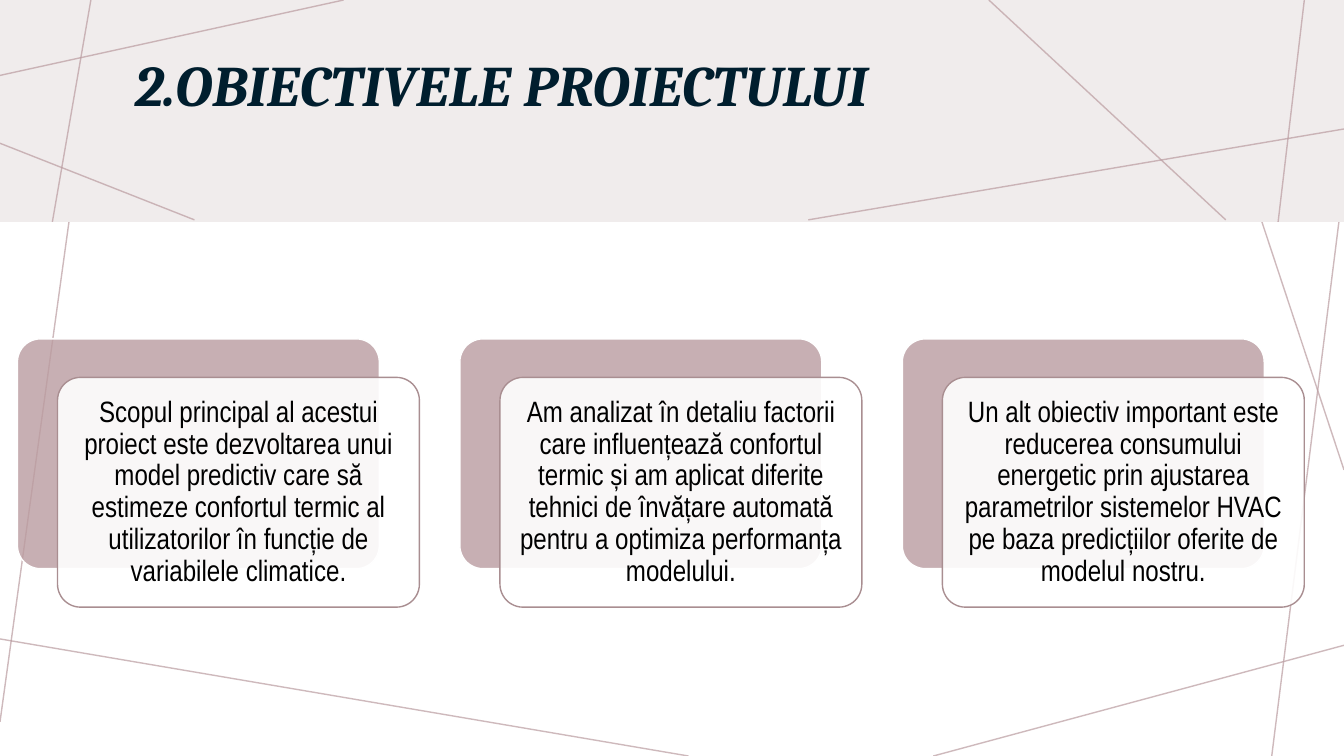
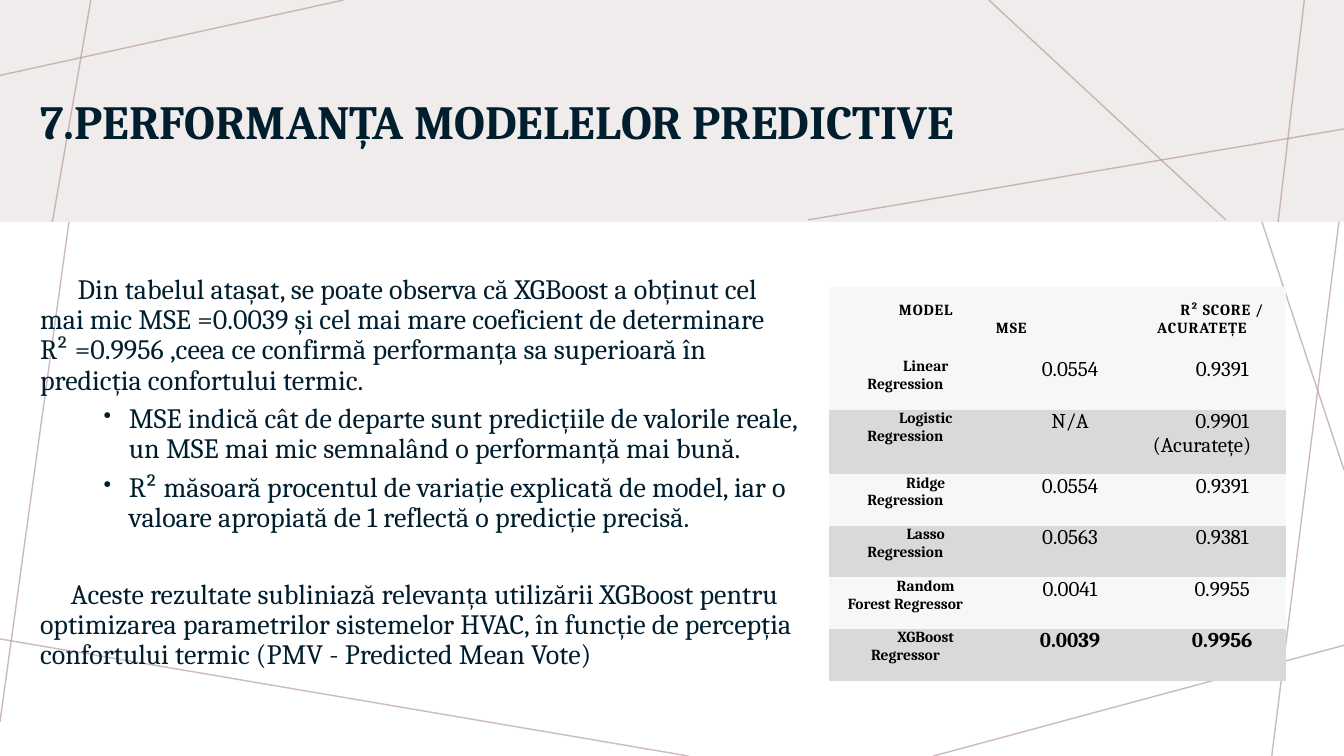
import dataclasses

import lxml.etree
import pptx
import pptx.dml.color
import pptx.enum.shapes
import pptx.enum.text
import pptx.oxml.ns
import pptx.util

Cm = pptx.util.Cm
Pt = pptx.util.Pt
qn = pptx.oxml.ns.qn
ALIGN = pptx.enum.text.PP_ALIGN
ANCHOR = pptx.enum.text.MSO_ANCHOR
SHAPE = pptx.enum.shapes.MSO_SHAPE


@dataclasses.dataclass(frozen=True)
class Theme:
    width: float = 33.87
    height: float = 19.05
    band_height: float = 5.59
    serif: str = "Cambria"
    narrow: str = "Arial Narrow"
    navy: str = "001E2E"
    black: str = "000000"
    white: str = "FFFFFF"
    band: str = "F0ECEC"
    mauve: str = "BA9CA0"
    card_line: str = "A98E91"
    row_light: str = "F7F7F7"
    row_dark: str = "D9D9D9"
    large_title: int = 41
    title: int = 34
    card: int = 21
    body: int = 20
    value: int = 15
    label: int = 11


THEME = Theme()

PAGE_LINES = [
    (8.66, 0, 0, 1.9),
    (2.51, 0, 0, 18.19),
    (17.35, 19.05, 0, 16.1),
    (33.87, 16.26, 23.52, 19.05),
    (33.87, 4.57, 32.05, 19.05),
    (33.87, 11.84, 29.95, 0),
    (33.87, 2.57, 18.14, 0),
]
BAND_LINES = [
    (8.66, 0, 0, 1.9),
    (2.29, 0, 1.32, 5.59),
    (33.87, 3.25, 20.37, 5.54),
    (30.89, 5.54, 24.92, 0),
    (32.87, 0, 32.21, 5.59),
]
BAND_CORNER_LINE = (4.9, 5.54, 0, 3.61)

GOALS = [
    "Scopul principal al acestui proiect este dezvoltarea unui model predictiv care să estimeze "
    "confortul termic al utilizatorilor în funcție de variabilele climatice.",
    "Am analizat în detaliu factorii care influențează confortul termic și am aplicat diferite "
    "tehnici de învățare automată pentru a optimiza performanța modelului.",
    "Un alt obiectiv important este reducerea consumului energetic prin ajustarea parametrilor "
    "sistemelor HVAC pe baza predicțiilor oferite de modelul nostru.",
]
FINDINGS = [
    ("Din tabelul atașat, se poate observa că XGBoost a obținut cel mai mic MSE =0.0039 și cel mai "
     "mare coeficient de determinare R² =0.9956 ,ceea ce confirmă performanța sa superioară în "
     "predicția confortului termic.", {"indent": 0.95}),
    ("MSE indică cât de departe sunt predicțiile de valorile reale, un MSE mai mic semnalând o "
     "performanță mai bună.", {"bullet": True, "margin": 2.24, "indent": -0.64}),
    ("R² măsoară procentul de variație explicată de model, iar o valoare apropiată de 1 reflectă o "
     "predicție precisă.", {"bullet": True, "margin": 2.24, "indent": -0.64}),
    ("Aceste rezultate subliniază relevanța utilizării XGBoost pentru optimizarea parametrilor "
     "sistemelor HVAC, în funcție de percepția confortului termic (PMV - Predicted Mean Vote)",
     {"indent": 0.78, "before": 27}),
]
SCORES = [
    ("MODEL", "MSE", "R² SCORE / ACURATEȚE"),
    ("Linear Regression", "0.0554", "0.9391"),
    ("Logistic Regression", "N/A", "0.9901 (Acuratețe)"),
    ("Ridge Regression", "0.0554", "0.9391"),
    ("Lasso Regression", "0.0563", "0.9381"),
    ("Random Forest Regressor", "0.0041", "0.9955"),
    ("XGBoost Regressor", "0.0039", "0.9956"),
]


def color(value):
    return pptx.dml.color.RGBColor.from_string(value)


def set_alpha(fill_parent, percent):
    color_element = fill_parent.find(qn("a:solidFill")).find(qn("a:srgbClr"))
    lxml.etree.SubElement(color_element, qn("a:alpha")).set("val", str(percent * 1000))


def write(paragraph, text, *, size, font=THEME.serif, ink=THEME.navy, bold=False, italic=False,
          align=ALIGN.LEFT, line_spacing=None, before=None, after=None, margin=0, indent=0,
          bullet=False, tracking=0):
    properties = paragraph._p.get_or_add_pPr()
    properties.set("marL", str(Cm(margin)))
    properties.set("indent", str(Cm(indent)))
    if bullet:
        lxml.etree.SubElement(properties, qn("a:buSzPct")).set("val", "80000")
        lxml.etree.SubElement(properties, qn("a:buChar")).set("char", "•")
    paragraph.alignment = align
    if line_spacing:
        paragraph.line_spacing = line_spacing
    if before:
        paragraph.space_before = Pt(before)
    if after:
        paragraph.space_after = Pt(after)
    run = paragraph.add_run()
    run.text = text
    run.font.name = font
    run.font.size = Pt(size)
    run.font.bold = bold
    run.font.italic = italic
    run.font.color.rgb = color(ink)
    if tracking:
        run.font._element.set("spc", str(tracking))


def add_text_box(slide, left, top, width, height):
    frame = slide.shapes.add_textbox(Cm(left), Cm(top), Cm(width), Cm(height)).text_frame
    frame.word_wrap = True
    frame.vertical_anchor = ANCHOR.MIDDLE
    return frame


def add_panel(slide, kind, left, top, width, height, *, fill, alpha=100, line=None):
    shape = slide.shapes.add_shape(kind, Cm(left), Cm(top), Cm(width), Cm(height))
    shape.shadow.inherit = False
    shape.fill.solid()
    shape.fill.fore_color.rgb = color(fill)
    if alpha < 100:
        set_alpha(shape.element.spPr, alpha)
    if line:
        shape.line.color.rgb = color(line)
        shape.line.width = Pt(1)
    else:
        shape.line.fill.background()
    return shape


def add_lines(slide, lines):
    for ends in lines:
        connector = slide.shapes.add_connector(
            pptx.enum.shapes.MSO_CONNECTOR.STRAIGHT, *[Cm(value) for value in ends])
        connector.line.color.rgb = color(THEME.mauve)
        connector.line.width = Pt(1)
        properties = connector.element.spPr
        set_alpha(properties.find(qn("a:ln")), 70)
        lxml.etree.SubElement(properties, qn("a:effectLst"))


def add_base_slide(presentation, extra_lines=()):
    slide = presentation.slides.add_slide(presentation.slide_layouts[6])
    add_lines(slide, PAGE_LINES)
    add_panel(slide, SHAPE.RECTANGLE, 0, 0, THEME.width, THEME.band_height, fill=THEME.band)
    add_lines(slide, [*BAND_LINES, *extra_lines])
    return slide


def add_title(slide, text, left, top, width, height, **style):
    frame = add_text_box(slide, left, top, width, height)
    write(frame.paragraphs[0], text, bold=True, line_spacing=0.9, **style)


def add_goal_card(slide, text, left, top, width, height):
    shift_x, shift_y = 1.01, 0.97
    card_width, card_height = width - shift_x, height - shift_y
    back = add_panel(slide, SHAPE.ROUNDED_RECTANGLE, left, top, card_width, card_height,
                     fill=THEME.mauve, alpha=80, line=THEME.white)
    front = add_panel(slide, SHAPE.ROUNDED_RECTANGLE, left + shift_x, top + shift_y,
                      card_width, card_height, fill=THEME.white, alpha=90, line=THEME.card_line)
    for shape in (back, front):
        shape.adjustments[0] = 0.1
    frame = front.text_frame
    frame.word_wrap = True
    frame.vertical_anchor = ANCHOR.MIDDLE
    frame.margin_left = frame.margin_right = frame.margin_top = frame.margin_bottom = Cm(0.23)
    write(frame.paragraphs[0], text, size=THEME.card, font=THEME.narrow, ink=THEME.black,
          align=ALIGN.CENTER, line_spacing=0.9)


def add_findings(slide, left, top, width, height):
    frame = add_text_box(slide, left, top, width, height)
    for index, (text, style) in enumerate(FINDINGS):
        paragraph = frame.add_paragraph() if index else frame.paragraphs[0]
        write(paragraph, text, size=THEME.body, line_spacing=0.9, after=6, **style)


def set_margins(cell, left, top, right, bottom):
    cell.margin_left, cell.margin_top = Cm(left), Cm(top)
    cell.margin_right, cell.margin_bottom = Cm(right), Cm(bottom)


def fill_score_cell(cell, text, row, column):
    is_header = row == 0
    is_lower_heading = is_header and column == 1
    is_value = not is_header and column > 0
    cell.fill.solid()
    cell.fill.fore_color.rgb = color(
        THEME.row_dark if row and row % 2 == 0 else THEME.row_light)
    if is_header:
        set_margins(cell, 0.36, 0.81 if is_lower_heading else 0.36, 0.36, 0.36)
    else:
        set_margins(cell, 0.2, 0, 0.2, 0.25)
    write(cell.text_frame.paragraphs[0], text, ink=THEME.black,
          size=THEME.value if is_value else THEME.label,
          bold=not is_value or row == len(SCORES) - 1,
          align=ALIGN.LEFT if is_lower_heading else ALIGN.CENTER,
          indent=0 if is_lower_heading else 1.02,
          tracking=60 if is_header else 0)


def add_score_table(slide, left, top, column_widths, row_heights):
    table = slide.shapes.add_table(
        len(row_heights), len(column_widths), Cm(left), Cm(top),
        Cm(sum(column_widths)), Cm(sum(row_heights))).table
    table.first_row = False
    table.horz_banding = False
    style = table._tbl.tblPr.find(qn("a:tableStyleId"))
    style.text = "{2D5ABB26-0587-4C30-8999-92F81FD0307C}"
    for column, width in zip(table.columns, column_widths):
        column.width = Cm(width)
    for row, height in zip(table.rows, row_heights):
        row.height = Cm(height)
    for row, texts in enumerate(SCORES):
        for column, text in enumerate(texts):
            fill_score_cell(table.cell(row, column), text, row, column)


def build_goals_slide(presentation):
    slide = add_base_slide(presentation, [BAND_CORNER_LINE])
    add_title(slide, "2.OBIECTIVELE PROIECTULUI", 3.15, 1.37, 27.97, 1.68,
              size=THEME.large_title, italic=True)
    for index, text in enumerate(GOALS):
        add_goal_card(slide, text, 0.44 + index * 11.15, 8.54, 10.13, 6.76)


def build_performance_slide(presentation):
    slide = add_base_slide(presentation)
    add_title(slide, "7.PERFORMANȚA MODELELOR PREDICTIVE", 0.76, 1.6, 30.33, 3.05,
              size=THEME.title)
    add_findings(slide, 0.76, 6.27, 19.61, 11.3)
    add_score_table(slide, 20.9, 7.24, [3.84, 3.43, 4.24], [1.78, 1.3, 1.63] + [1.3] * 4)


def main():
    presentation = pptx.Presentation()
    presentation.slide_width = Cm(THEME.width)
    presentation.slide_height = Cm(THEME.height)
    build_goals_slide(presentation)
    build_performance_slide(presentation)
    presentation.save("out.pptx")


if __name__ == "__main__":
    main()
